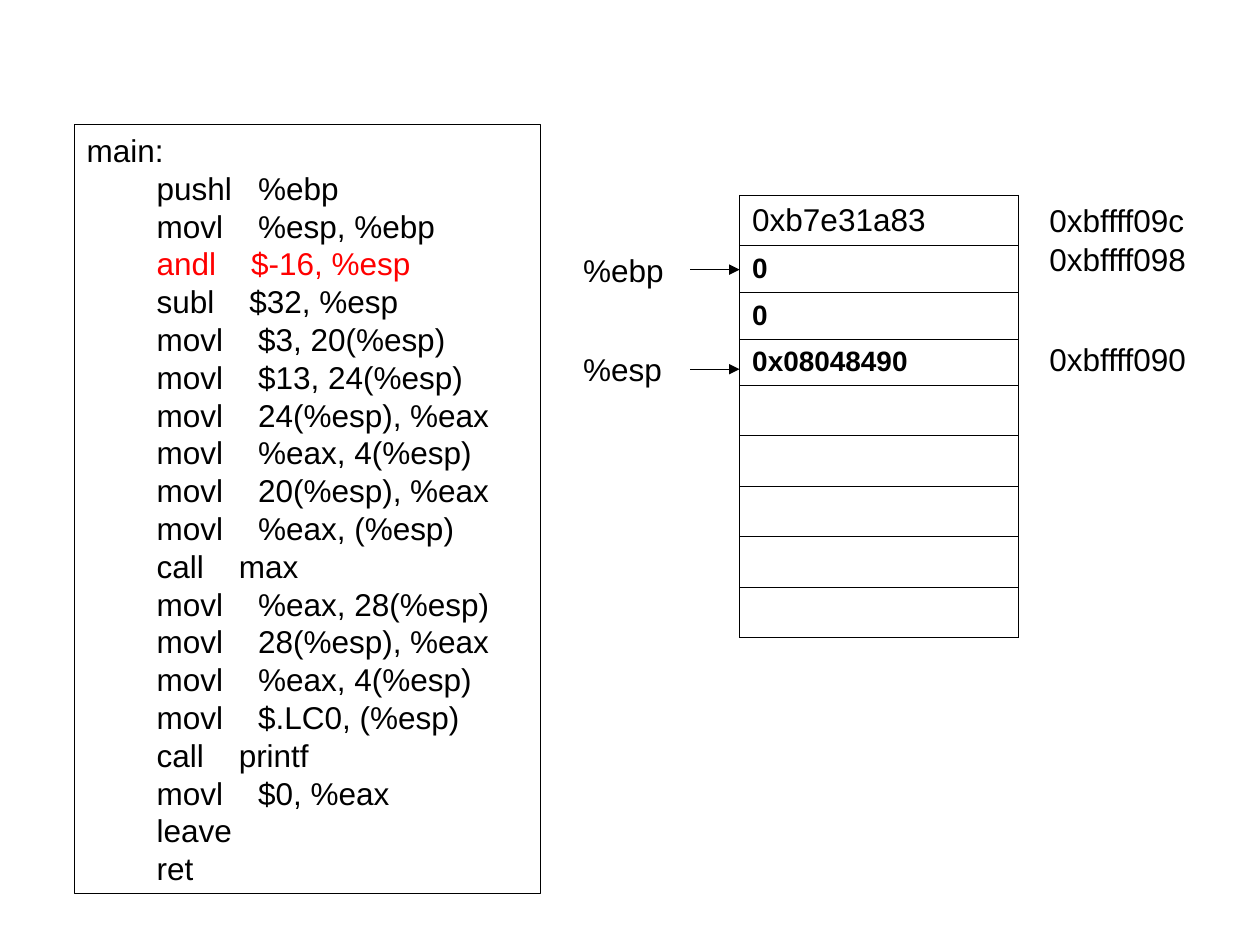
import pptx
import pptx.dml.color
import pptx.enum.shapes
import pptx.enum.text
import pptx.oxml
import pptx.oxml.ns
import pptx.util
from pptx.util import Inches

THEME = {
    "font": "Arial", "text": "000000", "highlight": "FF0000", "line": "000000",
    "size": 18, "value_size": 16, "leading": 21.6,
    "rule": 0.75, "cell_rule": 0.45, "last_rule": 1.08,
}

CODE = """main:
        pushl   %ebp
        movl    %esp, %ebp
        andl    $-16, %esp
        subl    $32, %esp
        movl    $3, 20(%esp)
        movl    $13, 24(%esp)
        movl    24(%esp), %eax
        movl    %eax, 4(%esp)
        movl    20(%esp), %eax
        movl    %eax, (%esp)
        call    max
        movl    %eax, 28(%esp)
        movl    28(%esp), %eax
        movl    %eax, 4(%esp)
        movl    $.LC0, (%esp)
        call    printf
        movl    $0, %eax
        leave
        ret""".splitlines()
CURRENT_LINE = 3

# Stack value, bold, row height
STACK = [
    ("0xb7e31a83", False, 0.4),
    ("0", True, 0.37),
    ("0", True, 0.37),
    ("0x08048490", True, 0.37),
] + [("", False, 0.4)] * 5

# Register, top of its label
REGISTERS = [("%ebp", 1.94), ("%esp", 2.73)]
# Address, top of its label
ADDRESSES = [("0xbffff09c", 1.55), ("0xbffff098", 1.86), ("0xbffff090", 2.65)]

CODE_BOX = (0.59, 0.99, 3.7, 6.1)
STACK_LEFT, STACK_TOP, STACK_WIDTH = 5.87, 1.55, 2.21
REGISTER_LEFT, REGISTER_WIDTH = 4.53, 0.95
ADDRESS_LEFT, ADDRESS_WIDTH = 8.23, 1.42
LABEL_HEIGHT = 0.4


def rgb(name):
    return pptx.dml.color.RGBColor.from_string(THEME[name])


def style(paragraph, color="text", size="size", bold=False):
    paragraph.alignment = pptx.enum.text.PP_ALIGN.LEFT
    font = paragraph.font
    font.name = THEME["font"]
    font.size = pptx.util.Pt(THEME[size])
    font.bold = bold
    font.color.rgb = rgb(color)


def add_code(slide):
    box = slide.shapes.add_shape(
        pptx.enum.shapes.MSO_SHAPE.RECTANGLE, *map(Inches, CODE_BOX))
    box.shadow.inherit = False
    box.fill.background()
    box.line.color.rgb = rgb("line")
    box.line.width = pptx.util.Pt(THEME["rule"])
    frame = box.text_frame
    frame.word_wrap = True
    frame.vertical_anchor = pptx.enum.text.MSO_ANCHOR.TOP
    for number, instruction in enumerate(CODE):
        paragraph = frame.add_paragraph() if number else frame.paragraphs[0]
        paragraph.text = instruction
        paragraph.line_spacing = pptx.util.Pt(THEME["leading"])
        style(paragraph, "highlight" if number == CURRENT_LINE else "text")


def add_label(slide, text, left, top, width):
    label = slide.shapes.add_textbox(
        *map(Inches, (left, top, width, LABEL_HEIGHT)))
    label.text_frame.word_wrap = True
    paragraph = label.text_frame.paragraphs[0]
    paragraph.text = text
    paragraph.line_spacing = pptx.util.Pt(THEME["leading"])
    style(paragraph)
    return label


def set_borders(cell, bottom):
    """Rule all four sides; border elements must precede the cell's fill."""
    properties = cell._tc.get_or_add_tcPr()
    namespace = pptx.oxml.ns.nsdecls("a")
    for place, side in enumerate("LRTB"):
        points = bottom if side == "B" else THEME["cell_rule"]
        properties.insert(place, pptx.oxml.parse_xml(
            f'<a:ln{side} {namespace} w="{pptx.util.Pt(points)}"><a:solidFill>'
            f'<a:srgbClr val="{THEME["line"]}"/></a:solidFill></a:ln{side}>'))


def add_stack(slide):
    height = sum(row_height for _, _, row_height in STACK)
    table = slide.shapes.add_table(
        len(STACK), 1,
        *map(Inches, (STACK_LEFT, STACK_TOP, STACK_WIDTH, height))).table
    table.first_row = table.horz_banding = False
    for number, (value, bold, row_height) in enumerate(STACK):
        table.rows[number].height = Inches(row_height)
        cell = table.cell(number, 0)
        cell.vertical_anchor = pptx.enum.text.MSO_ANCHOR.MIDDLE
        cell.fill.background()
        last = number == len(STACK) - 1
        set_borders(cell, THEME["last_rule" if last else "cell_rule"])
        paragraph = cell.text_frame.paragraphs[0]
        if value:
            paragraph.text = value
        style(paragraph, size="value_size" if bold else "size", bold=bold)


def add_pointer(slide, register):
    """Arrow from a register's label to the stack."""
    middle = register.top + register.height // 2
    arrow = slide.shapes.add_connector(
        pptx.enum.shapes.MSO_CONNECTOR.STRAIGHT,
        register.left + register.width, middle, Inches(STACK_LEFT), middle)
    arrow.begin_connect(register, 3)
    arrow.line.color.rgb = rgb("line")
    arrow.line.width = pptx.util.Pt(THEME["rule"])
    namespace = pptx.oxml.ns.nsdecls("a")
    arrow.line._get_or_add_ln().append(
        pptx.oxml.parse_xml(f'<a:tailEnd {namespace} type="triangle"/>'))
    arrow._element.spPr.append(
        pptx.oxml.parse_xml(f"<a:effectLst {namespace}/>"))


def main():
    deck = pptx.Presentation()
    deck.slide_width, deck.slide_height = Inches(10), Inches(7.5)
    slide = deck.slides.add_slide(deck.slide_layouts[6])
    add_code(slide)
    add_stack(slide)
    for name, top in REGISTERS:
        register = add_label(slide, name, REGISTER_LEFT, top, REGISTER_WIDTH)
        add_pointer(slide, register)
    for address, top in ADDRESSES:
        add_label(slide, address, ADDRESS_LEFT, top, ADDRESS_WIDTH)
    deck.save("out.pptx")


if __name__ == "__main__":
    main()
